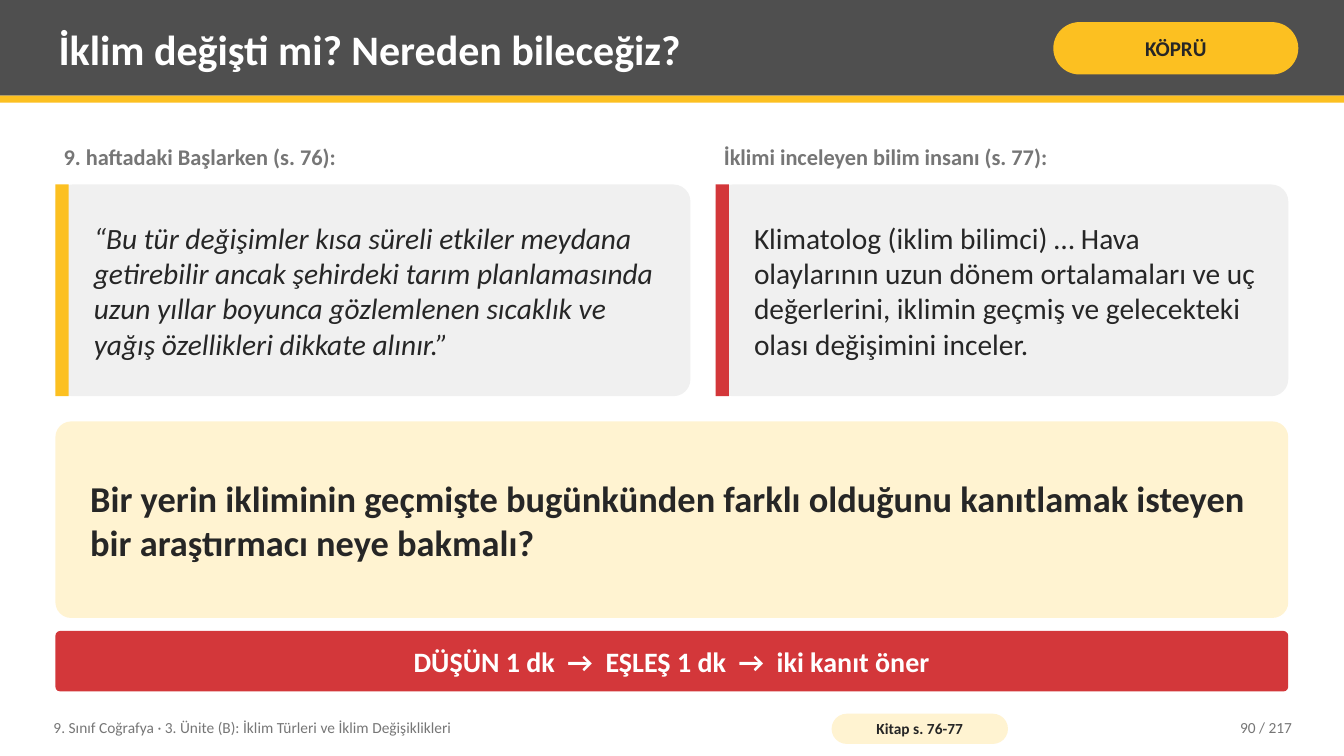
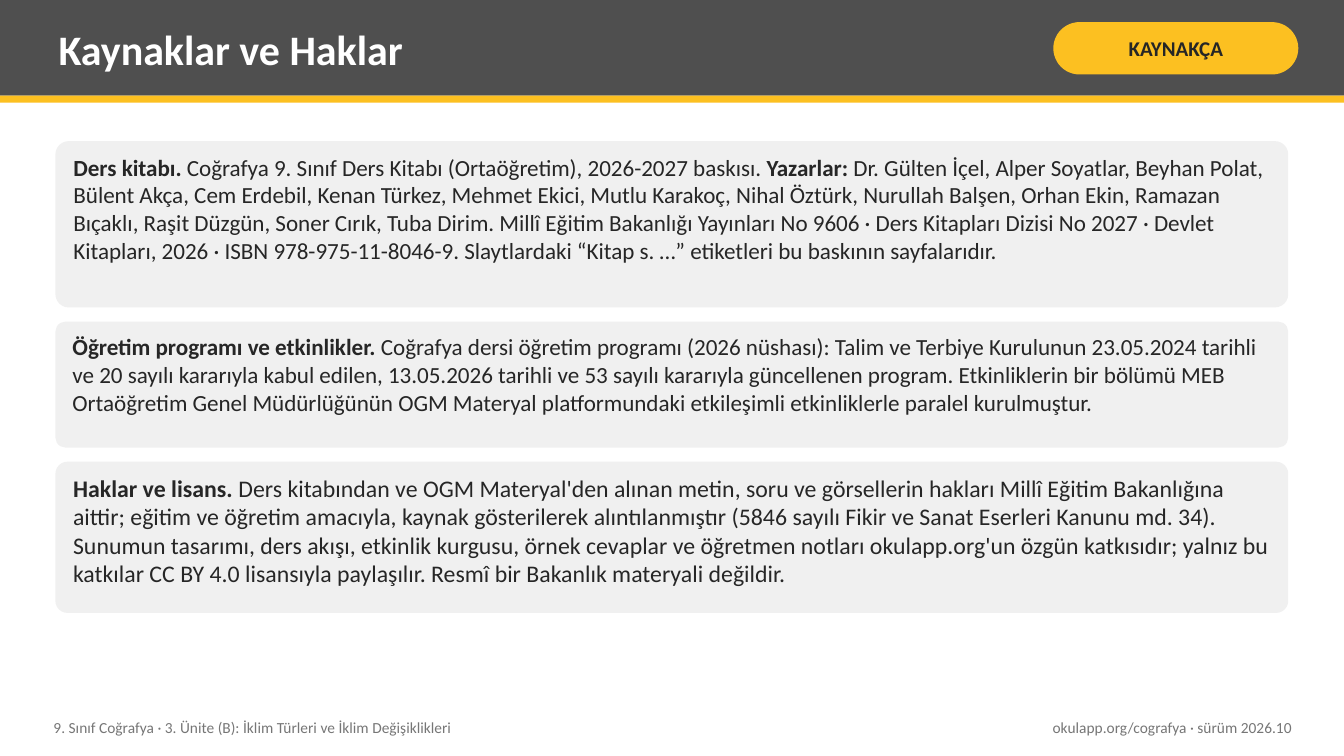
from dataclasses import dataclass
from pptx import Presentation
from pptx.dml.color import RGBColor
from pptx.enum.shapes import MSO_SHAPE
from pptx.enum.text import MSO_ANCHOR, MSO_AUTO_SIZE, PP_ALIGN
from pptx.util import Pt


@dataclass(frozen=True)
class Theme:
    font: str = "Calibri"
    dark: str = "4F4F4F"
    gold: str = "FCC021"
    red: str = "D3373A"
    cream: str = "FFF3D1"
    pale: str = "F0F0F0"
    white: str = "FFFFFF"
    ink: str = "262626"
    gray: str = "767676"
    title: float = 30
    ask: float = 26
    quote: float = 21
    task: float = 20
    note: float = 16.5
    label: float = 16
    tag: float = 15
    small: float = 11


THEME = Theme()
WIDE, HIGH = 960, 540
LEFT, SPAN = 39.6, 880.6
RIGHT = LEFT + SPAN
COURSE = "9. Sınıf Coğrafya · 3. Ünite (B): İklim Türleri ve İklim Değişiklikleri"


def write(frame, text, size=THEME.label, color=THEME.ink, bold=False, italic=False,
          align=PP_ALIGN.LEFT, anchor=MSO_ANCHOR.MIDDLE, pad=(5.8, 2.9)):
    frame.word_wrap = True
    frame.auto_size = MSO_AUTO_SIZE.NONE
    frame.vertical_anchor = anchor
    frame.margin_left = frame.margin_right = Pt(pad[0])
    frame.margin_top = frame.margin_bottom = Pt(pad[1])
    para = frame.paragraphs[0]
    para.alignment = align
    for i, part in enumerate(text.split("*")):
        if part:
            run = para.add_run()
            run.text = part
            font = run.font
            font.name, font.size = THEME.font, Pt(size)
            font.bold, font.italic = bold or i % 2 == 1, italic
            font.color.rgb = RGBColor.from_string(color)


class Deck:
    def __init__(self, theme):
        self.theme = theme
        self.show = Presentation()
        self.show.slide_width, self.show.slide_height = Pt(WIDE), Pt(HIGH)
        self.slide = None

    def box(self, x, y, w, h, fill, text="", curve=0, **style):
        kind = MSO_SHAPE.ROUNDED_RECTANGLE if curve else MSO_SHAPE.RECTANGLE
        shape = self.slide.shapes.add_shape(kind, Pt(x), Pt(y), Pt(w), Pt(h))
        if curve:
            shape.adjustments[0] = curve
        shape.shadow.inherit = False
        shape.fill.solid()
        shape.fill.fore_color.rgb = RGBColor.from_string(fill)
        shape.line.fill.background()
        if text:
            write(shape.text_frame, text, **style)

    def text(self, x, y, w, h, text, **style):
        area = self.slide.shapes.add_textbox(Pt(x), Pt(y), Pt(w), Pt(h))
        write(area.text_frame, text, **style)

    def pill(self, x, y, w, h, fill, text, size, pad):
        self.box(x, y, w, h, fill, text, curve=0.5, size=size, bold=True,
                 align=PP_ALIGN.CENTER, pad=pad)

    def page(self, title, tag, right, width):
        t = self.theme
        self.slide = self.show.slides.add_slide(self.show.slide_layouts[5])
        self.box(0, 0, WIDE, 68.4, t.dark)
        self.box(0, 68.4, WIDE, 5, t.gold)
        head = self.slide.shapes.title
        self.slide.shapes._spTree.append(head._element)
        head.left, head.top, head.width, head.height = Pt(36), Pt(5), Pt(702), Pt(59)
        write(head.text_frame, title, size=t.title, color=t.white, bold=True)
        self.pill(752.4, 15.8, 175, 37.4, t.gold, tag, t.tag, (3.6, 1.4))
        foot = dict(size=t.small, color=t.gray)
        self.text(32.4, 506.9, 547.2, 25.9, COURSE, **foot)
        self.text(928.8 - width, 506.9, width, 25.9, right, align=PP_ALIGN.RIGHT, **foot)

    def card(self, x, w, label, text, color, italic=False):
        t, y, h = self.theme, 131.8, 151.2
        self.text(x, 99.4, w, 30.2, label, size=t.label, color=t.gray, bold=True,
                  anchor=MSO_ANCHOR.TOP)
        self.box(x, y, w, h, t.pale, curve=0.08)
        self.box(x, y, 9.4, h, color)
        self.text(x + 21.6, y, w - 32.4, h, text, size=t.quote, italic=italic)

    def panel(self, y, h, fill, text, **style):
        self.box(LEFT, y, SPAN, h, fill, text, curve=0.08, **style)

    def stack(self, y, gap, notes):
        for h, size, text in notes:
            self.panel(y, h, self.theme.pale, text, size=size,
                       anchor=MSO_ANCHOR.TOP, pad=(10.1, 5.8))
            y += h + gap


def main():
    t = THEME
    deck = Deck(t)

    deck.page("İklim değişti mi? Nereden bileceğiz?", "KÖPRÜ", "90 / 217", 115.2)
    first, gap = 453.6, 18
    next_x = LEFT + first + gap
    deck.card(LEFT, first, "9. haftadaki Başlarken (s. 76):",
              "“Bu tür değişimler kısa süreli etkiler meydana getirebilir ancak şehirdeki "
              "tarım planlamasında uzun yıllar boyunca gözlemlenen sıcaklık ve yağış "
              "özellikleri dikkate alınır.”", t.gold, italic=True)
    deck.card(next_x, RIGHT - next_x, "İklimi inceleyen bilim insanı (s. 77):",
              "Klimatolog (iklim bilimci) … Hava olaylarının uzun dönem ortalamaları ve uç "
              "değerlerini, iklimin geçmiş ve gelecekteki olası değişimini inceler.", t.red)
    deck.panel(301, 140.4, t.cream,
               "Bir yerin ikliminin geçmişte bugünkünden farklı olduğunu kanıtlamak isteyen "
               "bir araştırmacı neye bakmalı?", size=t.ask, bold=True, pad=(21.6, 5.8))
    deck.panel(450.7, 43.2, t.red, "DÜŞÜN 1 dk  →  EŞLEŞ 1 dk  →  iki kanıt öner",
               size=t.task, color=t.white, bold=True, align=PP_ALIGN.CENTER, pad=(10.1, 0))
    deck.pill(594, 509.8, 126, 21.6, t.cream, "Kitap s. 76-77", t.small, (2.9, 0))

    deck.page("Kaynaklar ve Haklar", "KAYNAKÇA",
              "okulapp.org/cografya · sürüm 2026.10", 259.2)
    deck.stack(100.8, 10.1, [
        (118.8, t.note,
         "*Ders kitabı.* Coğrafya 9. Sınıf Ders Kitabı (Ortaöğretim), 2026-2027 baskısı. "
         "*Yazarlar:* Dr. Gülten İçel, Alper Soyatlar, Beyhan Polat, Bülent Akça, "
         "Cem Erdebil, Kenan Türkez, Mehmet Ekici, Mutlu Karakoç, Nihal Öztürk, "
         "Nurullah Balşen, Orhan Ekin, Ramazan Bıçaklı, Raşit Düzgün, Soner Cırık, "
         "Tuba Dirim. Millî Eğitim Bakanlığı Yayınları No 9606 · Ders Kitapları Dizisi "
         "No 2027 · Devlet Kitapları, 2026 · ISBN 978-975-11-8046-9. Slaytlardaki "
         "“Kitap s. …” etiketleri bu baskının sayfalarıdır."),
        (90, t.note,
         "*Öğretim programı ve etkinlikler.* Coğrafya dersi öğretim programı (2026 "
         "nüshası): Talim ve Terbiye Kurulunun 23.05.2024 tarihli ve 20 sayılı kararıyla "
         "kabul edilen, 13.05.2026 tarihli ve 53 sayılı kararıyla güncellenen program. "
         "Etkinliklerin bir bölümü MEB Ortaöğretim Genel Müdürlüğünün OGM Materyal "
         "platformundaki etkileşimli etkinliklerle paralel kurulmuştur."),
        (108, t.note + 0.5,
         "*Haklar ve lisans.* Ders kitabından ve OGM Materyal'den alınan metin, soru ve "
         "görsellerin hakları Millî Eğitim Bakanlığına aittir; eğitim ve öğretim amacıyla, "
         "kaynak gösterilerek alıntılanmıştır (5846 sayılı Fikir ve Sanat Eserleri Kanunu "
         "md. 34). Sunumun tasarımı, ders akışı, etkinlik kurgusu, örnek cevaplar ve "
         "öğretmen notları okulapp.org'un özgün katkısıdır; yalnız bu katkılar CC BY 4.0 "
         "lisansıyla paylaşılır. Resmî bir Bakanlık materyali değildir."),
    ])

    deck.show.save("out.pptx")


if __name__ == "__main__":
    main()
